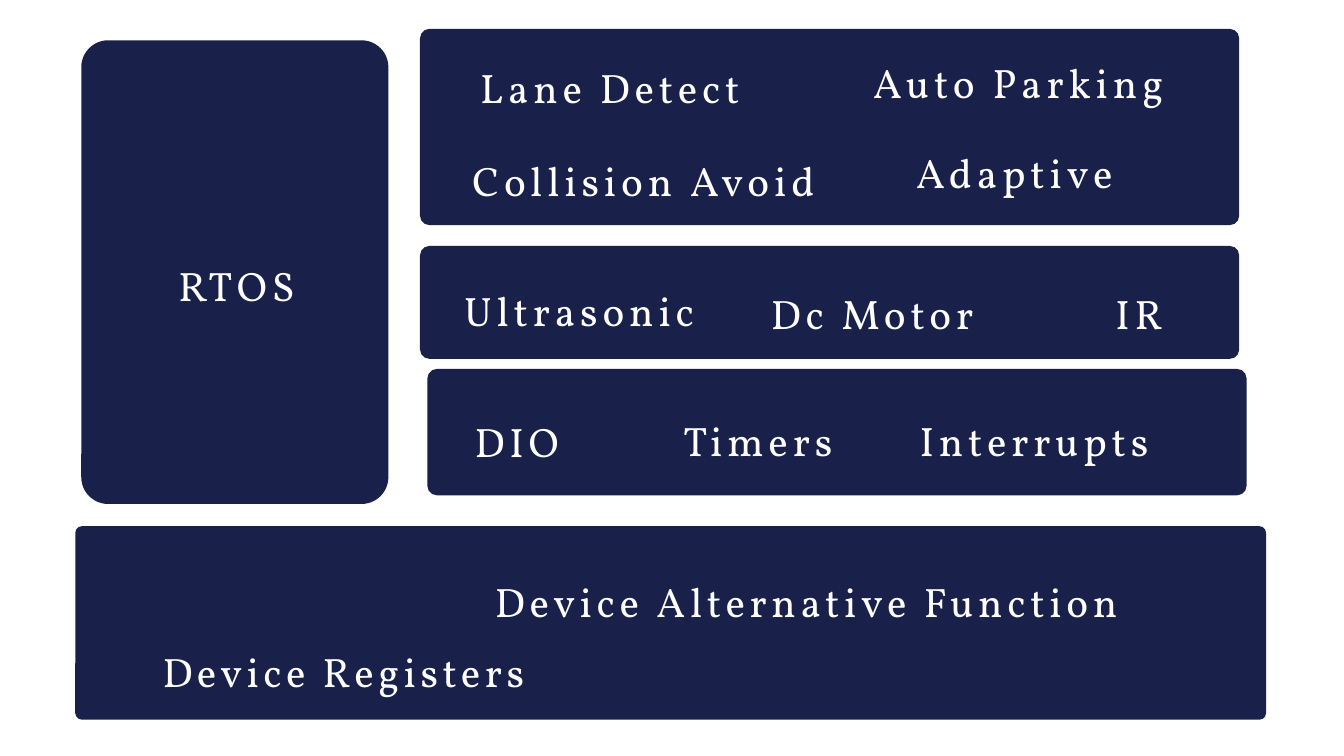
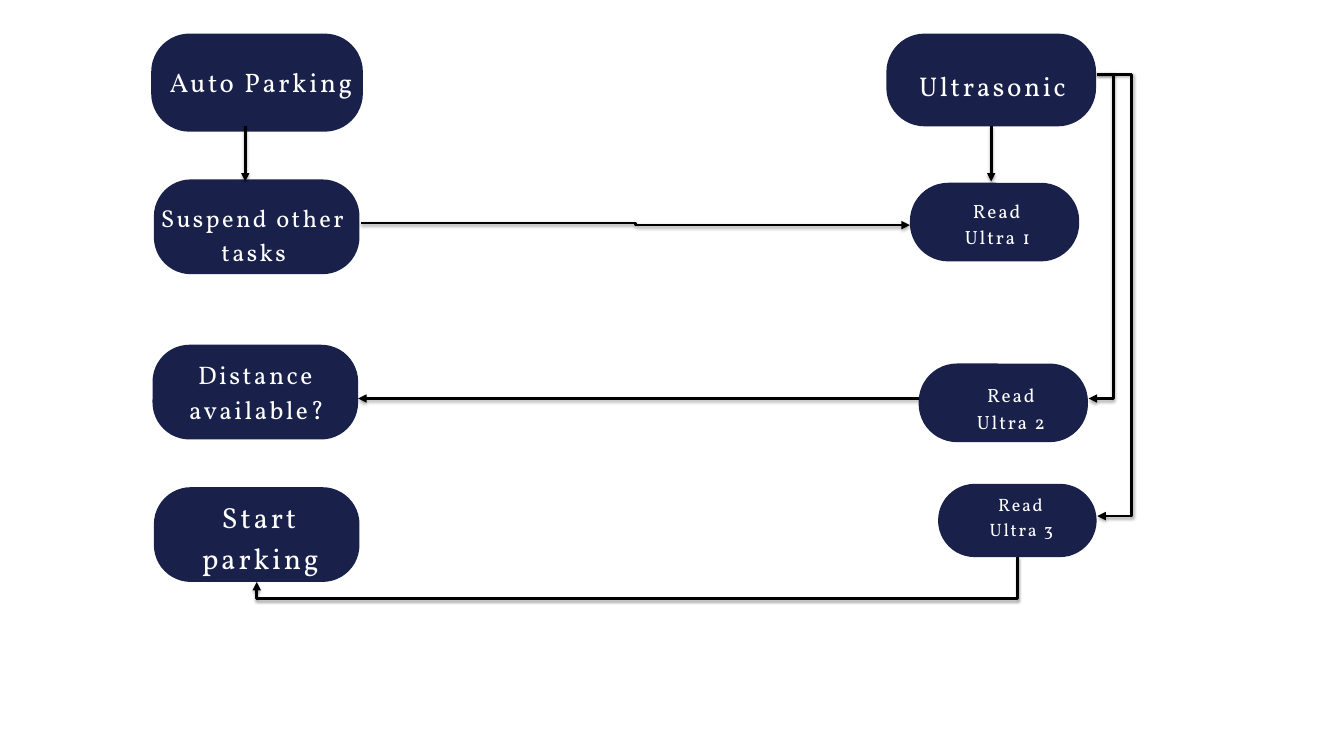
from lxml import etree
from pptx import Presentation
from pptx import util as u
from pptx.dml.color import RGBColor
from pptx.enum import shapes, text
from pptx.oxml.ns import qn

PX = 9144
NAVY, WHITE, BLACK = "19214B", "FFFFFF", "000000"
FONT = "Vollkorn"


def px(*lengths):
    """Turn px into EMU."""
    return [u.Emu(int(n * PX)) for n in lengths]


def color(hex_text):
    """Turn a hex string into a colour."""
    return RGBColor.from_string(hex_text)


def panel(slide, box, radius):
    """Draw a navy rounded rectangle with the corner radius given."""
    sp = slide.shapes.add_shape(shapes.MSO_SHAPE.ROUNDED_RECTANGLE, *px(*box))
    sp.adjustments[0] = min(0.5, radius / min(box[2:]))
    sp.shadow.inherit = False
    sp.fill.solid()
    sp.fill.fore_color.rgb = color(NAVY)
    sp.line.fill.background()
    return sp


def label(slide, box, words, size, leading):
    """Write centred, letter-spaced white text."""
    tf = slide.shapes.add_textbox(*px(*box)).text_frame
    tf.margin_left = tf.margin_top = tf.margin_right = tf.margin_bottom = 0
    tf.word_wrap = True
    tf.auto_size = text.MSO_AUTO_SIZE.SHAPE_TO_FIT_TEXT
    tf.text = words
    for p in tf.paragraphs:
        p.alignment = text.PP_ALIGN.CENTER
        p.line_spacing = u.Pt(leading)
        p.font.name = FONT
        p.font.size = u.Pt(size)
        p.font.color.rgb = color(WHITE)
        p._p.pPr.defRPr.set("spc", str(round(leading / 14.2 * 100)))


def layer(slide, box, radius, labels, leading=73.8):
    """Draw one architecture layer; labels are (dx, dy, width, words)."""
    panel(slide, box, radius)
    for dx, dy, width, words in labels:
        label(slide, (box[0] + dx, box[1] + dy, width, 93), words, 44, leading)


def node(slide, box, radius, inner, words, size):
    """Draw one flow step; inner is its label box relative to the step."""
    sp = panel(slide, box, radius)
    dx, dy, width, height = inner
    label(slide, (box[0] + dx, box[1] + dy, width, height), words, size,
          round(size * 1.38, 1))
    return sp


def arrow(slide, start, end, kind=shapes.MSO_CONNECTOR.STRAIGHT):
    """Draw a black arrow with a soft shadow."""
    cxn = slide.shapes.add_connector(kind, *px(*start, *end))
    cxn.line.width = u.Pt(3)
    cxn.line.color.rgb = color(BLACK)
    etree.SubElement(cxn.line._get_or_add_ln(), qn("a:tailEnd"), type="triangle")
    effects = etree.SubElement(cxn._element.spPr, qn("a:effectLst"))
    shadow = etree.SubElement(effects, qn("a:outerShdw"), blurRad="40000",
                              dist="23000", dir="5400000", rotWithShape="0")
    tint = etree.SubElement(shadow, qn("a:srgbClr"), val=BLACK)
    etree.SubElement(tint, qn("a:alpha"), val="35000")
    return cxn


def elbow(slide, start, end, bend, vertical=False):
    """Draw a bent arrow whose middle leg lies at x (or y, if vertical) = bend."""
    (x1, y1), (x2, y2) = start, end
    share = (bend - x1) / (x2 - x1)
    if vertical:
        share = (bend - y1) / (y2 - y1)
        cx, cy = (x1 + x2) / 2, (y1 + y2) / 2
        half_w, half_h = (y2 - y1) / 2, (x1 - x2) / 2
        start, end = (cx - half_w, cy - half_h), (cx + half_w, cy + half_h)
    cxn = arrow(slide, start, end, shapes.MSO_CONNECTOR.ELBOW)
    if vertical:
        cxn._element.spPr.find(qn("a:xfrm")).set("rot", "5400000")
    guides = cxn._element.spPr.find(qn("a:prstGeom")).get_or_add_avLst()
    etree.SubElement(guides, qn("a:gd"), name="adj1",
                     fmla=f"val {round(share * 100000)}")


def architecture(slide):
    """Stack the software layers beside the RTOS block."""
    left, width = 625, 1219
    registers = (112, 783, 1772, 288)
    layer(slide, registers, 10, [(48, 158, 703, "Device Registers")], 68.2)
    label(slide, (registers[0] + 446, registers[1] + 49, 1285, 91),
          "Device Alternative Function", 44, 71)
    layer(slide, (left + 11, 549, width, 188), 14, [
        (13, 42, 240, "DIO"),
        (322, 40, 340, "Timers"),
        (598, 40, 610, "Interrupts")])
    layer(slide, (121, 60, 457, 690), 40, [(78, 298, 306, "RTOS")])
    layer(slide, (left, 366, width, 168), 14, [
        (19, 29, 436, "Ultrasonic"),
        (455, 34, 436, "Dc Motor"),
        (925, 34, 290, "IR")])
    layer(slide, (left, 43, width, 292), 14, [
        (-3, 21, 572, "Lane Detect"),
        (540, 14, 701, "Auto Parking"),
        (32, 159, 602, "Collision Avoid"),
        (275, 147, 1219, "Adaptive")])


def parking_flow(slide):
    """Lay out the parking steps, the sensor reads and their arrows."""
    node(slide, (225, 50, 315, 146), 57, (18, 41, 291, 52), "Auto Parking", 28.7)
    sensor = node(slide, (1319, 50, 312, 138), 57, (42, 46, 232, 53),
                  "Ultrasonic", 29)
    node(slide, (1354, 272, 252, 117), 57, (58, 19, 145, 76), "Read Ultra 1", 20.5)
    node(slide, (1367, 541, 252, 117), 57, (65, 25, 145, 76), "Read\nUltra 2", 20.5)
    node(slide, (1396, 720, 236, 109), 55, (56, 10, 136, 73), "Read Ultra 3", 19.2)
    node(slide, (229, 267, 306, 141), 55, (0, 29, 297, 98),
         "Suspend other tasks", 26.2)
    node(slide, (227, 513, 306, 141), 55, (37, 14, 236, 102),
         "Distance available?", 27.2)
    node(slide, (229, 725, 306, 141), 55, (63, 11, 191, 119), "Start parking", 31.2)

    elbow(slide, (1514, 829), (382, 866), 891, vertical=True)
    elbow(slide, (1632, 111), (1620, 593), 1657)
    elbow(slide, (1632, 111), (1633, 768), 1685)
    arrow(slide, (1367, 593), (533, 593))
    elbow(slide, (537, 332), (1354, 335), 946)
    arrow(slide, (1475, 188), (1475, 270)).begin_connect(sensor, 2)
    arrow(slide, (365, 188), (365, 270))


def main():
    """Build both slides and save them."""
    prs = Presentation()
    prs.slide_width, prs.slide_height = px(2000, 1125)
    for draw in (architecture, parking_flow):
        draw(prs.slides.add_slide(prs.slide_layouts[6]))
    prs.save("out.pptx")


if __name__ == "__main__":
    main()
